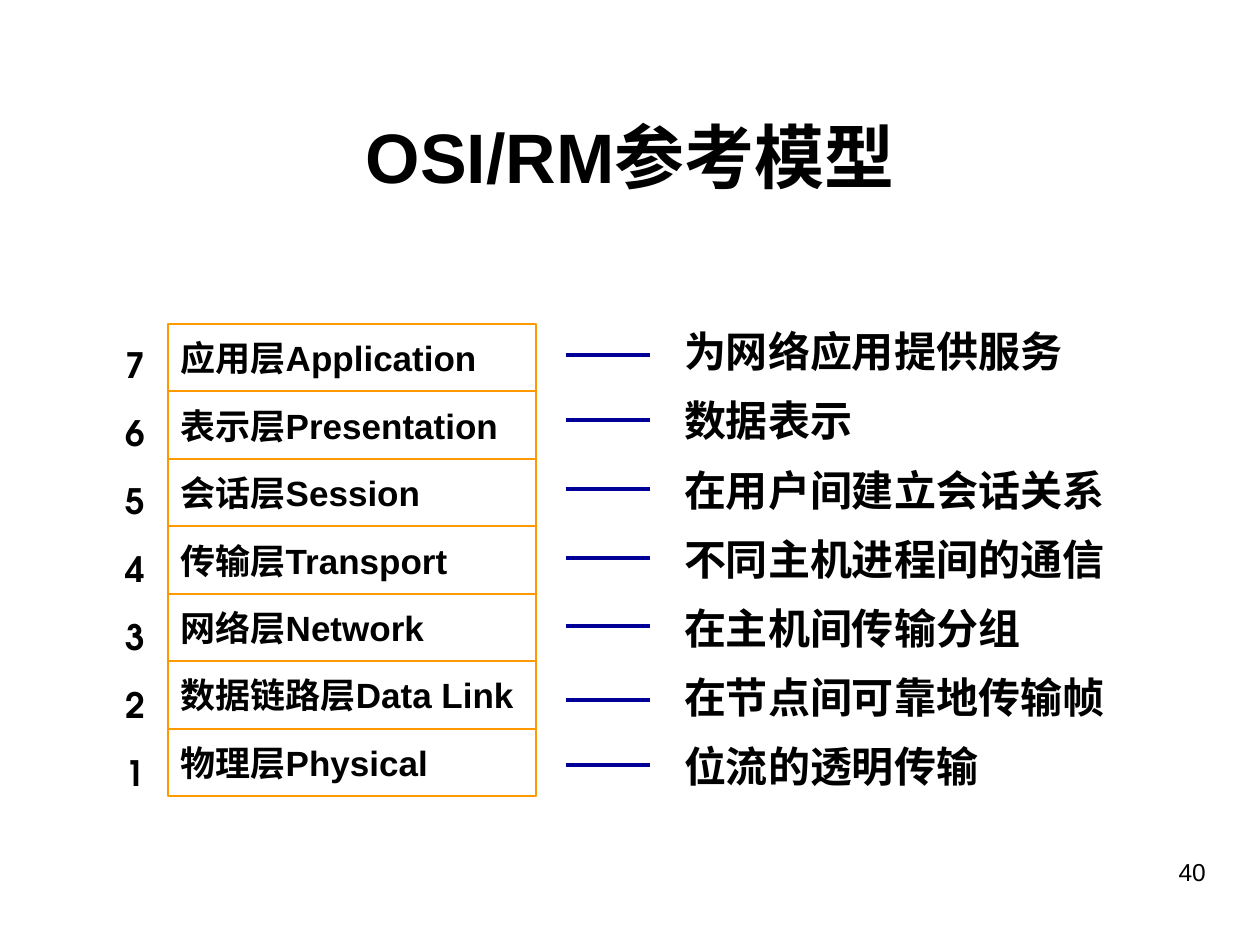
from lxml.etree import SubElement
from pptx import Presentation
from pptx.dml.color import RGBColor
from pptx.enum.lang import MSO_LANGUAGE_ID
from pptx.enum.shapes import MSO_CONNECTOR, MSO_SHAPE
from pptx.enum.text import MSO_ANCHOR, PP_ALIGN
from pptx.oxml.ns import qn
from pptx.util import Cm, Pt

# Layer number, layer name, service, height of the dash in cm
LAYERS = [
    ("7", "应用层Application", "为网络应用提供服务", 7.16),
    ("6", "表示层Presentation", "数据表示", 8.46),
    ("5", "会话层Session", "在用户间建立会话关系", 9.86),
    ("4", "传输层Transport", "不同主机进程间的通信", 11.25),
    ("3", "网络层Network", "在主机间传输分组", 12.62),
    ("2", "数据链路层Data Link", "在节点间可靠地传输帧", 14.12),
    ("1", "物理层Physical", "位流的透明传输", 15.42),
]
STACK_TOP, ROW_HEIGHT = 6.53, 1.36


def color(value):
    return RGBColor.from_string(value)


class SlideBuilder:
    text_color, border, dash = "000000", "FF9900", "000099"
    font, number_font = "Arial", "TeX Gyre Adventor"

    def __init__(self, page):
        self.page = page

    def format(self, para, size, bold=True, align=PP_ALIGN.LEFT, font=None):
        para.alignment = align
        for span in para.runs:
            span.font.name = font or self.font
            span.font.size = Pt(size)
            span.font.bold = bold
            span.font.color.rgb = color(self.text_color)
            span.font.language_id = MSO_LANGUAGE_ID.SIMPLIFIED_CHINESE

    def title(self, text, left, top, width, height):
        box = self.page.shapes.title
        box.left, box.top, box.width, box.height = map(Cm, (left, top, width, height))
        box.text_frame.text = text
        box.text_frame.vertical_anchor = MSO_ANCHOR.MIDDLE
        self.format(box.text_frame.paragraphs[0], 40, align=PP_ALIGN.CENTER)

    def layer_box(self, text, left, top, width, height):
        box = self.page.shapes.add_shape(
            MSO_SHAPE.RECTANGLE, *map(Cm, (left, top, width, height)))
        box.shadow.inherit = False
        box.fill.solid()
        box.fill.fore_color.rgb = color("FFFFFF")
        box.line.color.rgb = color(self.border)
        box.line.width = Pt(1)
        frame = box.text_frame
        frame.text = text
        frame.word_wrap = False
        frame.vertical_anchor = MSO_ANCHOR.MIDDLE
        self.format(frame.paragraphs[0], 20)

    def text(self, lines, left, top, width, height, size,
             spacing=1.0, before=0, **style):
        box = self.page.shapes.add_textbox(*map(Cm, (left, top, width, height)))
        frame = box.text_frame
        frame.word_wrap = True
        frame.text = "\n".join(lines)
        for index, para in enumerate(frame.paragraphs):
            para.line_spacing = spacing
            para.space_before = Pt(before if index else 0)
            self.format(para, size, **style)

    def line(self, left, right, y):
        line = self.page.shapes.add_connector(
            MSO_CONNECTOR.STRAIGHT, Cm(left), Cm(y), Cm(right), Cm(y))
        line.line.color.rgb = color(self.dash)
        line.line.width = Pt(2.25)
        SubElement(line.element.spPr, qn("a:effectLst"))


def main():
    deck = Presentation()
    deck.slide_width, deck.slide_height = Cm(25.4), Cm(19.05)
    slide = SlideBuilder(deck.slides.add_slide(deck.slide_layouts[5]))
    numbers, names, services, dashes = zip(*LAYERS)

    slide.title("OSI/RM参考模型", 0.84, 1.55, 23.72, 3.18)
    for row, name in enumerate(names):
        slide.layer_box(name, 3.39, STACK_TOP + row * ROW_HEIGHT, 7.42, ROW_HEIGHT)
    slide.text(numbers, 2.11, 6.71, 1.06, 9.42, 20, spacing=1.1, before=12.5,
               align=PP_ALIGN.RIGHT, font=slide.number_font)
    slide.text(services, 13.54, 6.6, 9.68, 9.47, 24, spacing=0.85, before=15)
    for y in dashes:
        slide.line(11.4, 13.11, y)
    slide.text(["40"], 18.21, 17.15, 6.35, 1.32, 14, bold=False,
               align=PP_ALIGN.RIGHT)
    deck.save("out.pptx")


if __name__ == "__main__":
    main()
